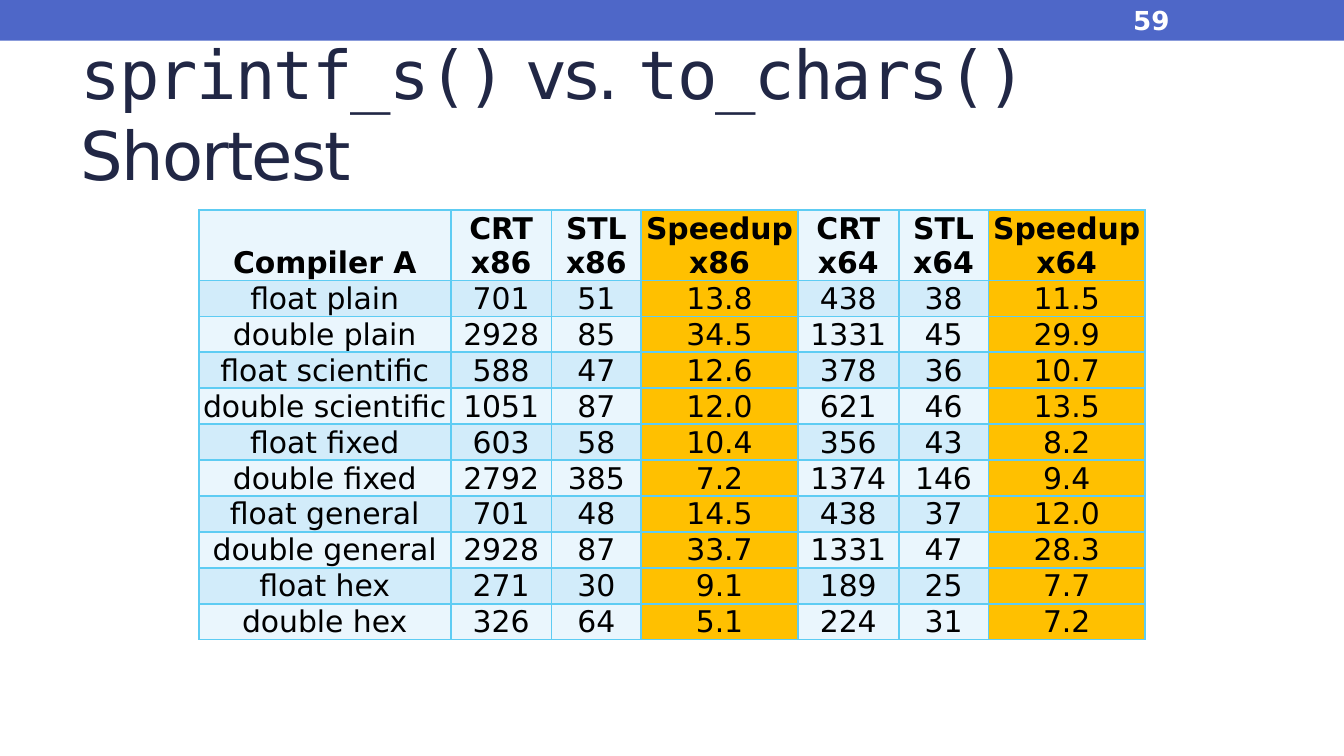
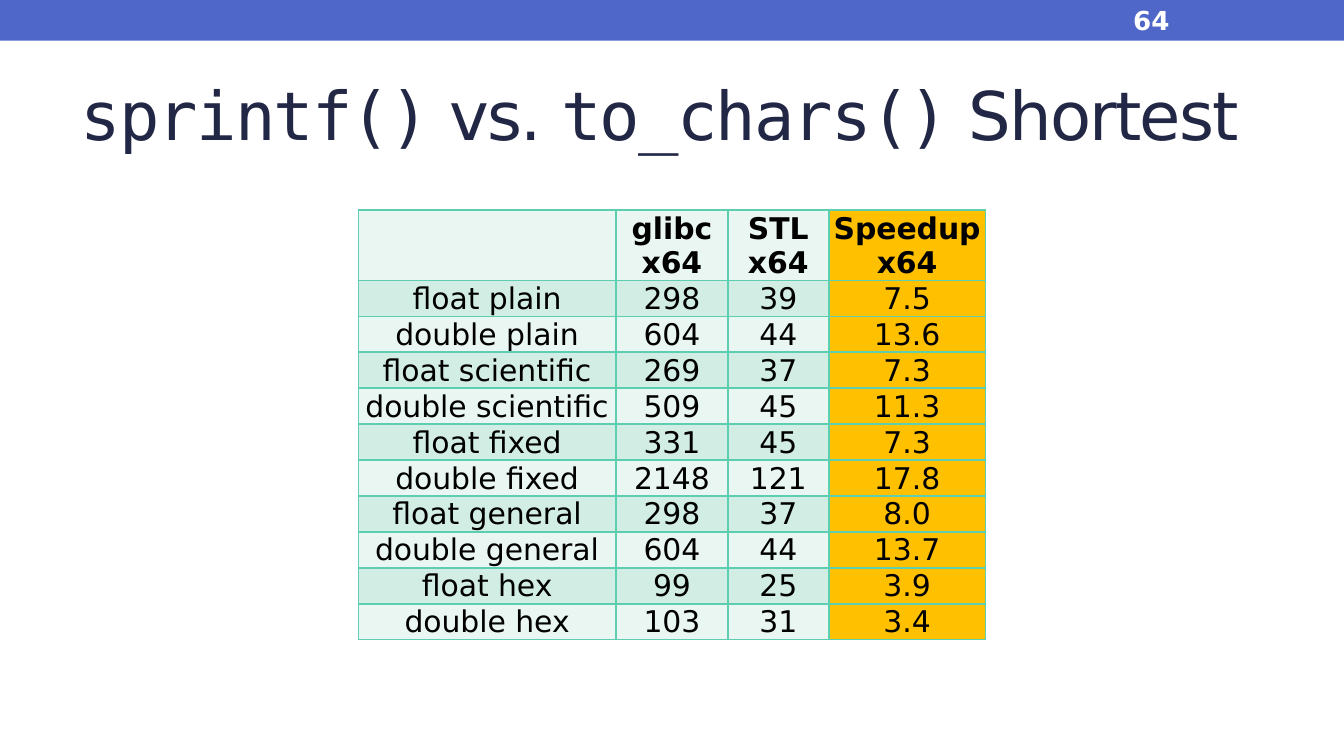
import pptx
import pptx.dml.color
import pptx.enum.shapes
import pptx.enum.text
import pptx.oxml
import pptx.oxml.ns
import pptx.util

# Content
FORMATS = [f"{kind} {style}"
           for style in ("plain", "scientific", "fixed", "general", "hex")
           for kind in ("float", "double")]

SLIDES = [
    {
        "number": "59",
        "old_function": "sprintf_s()",
        "palette": "blue",
        "header": ["Compiler A", "CRT x86", "STL x86", "Speedup x86",
                   "CRT x64", "STL x64", "Speedup x64"],
        "widths": [180, 72, 64, 112, 72, 64, 112],
        "timings": [
            ("701", "51", "13.8", "438", "38", "11.5"),
            ("2928", "85", "34.5", "1331", "45", "29.9"),
            ("588", "47", "12.6", "378", "36", "10.7"),
            ("1051", "87", "12.0", "621", "46", "13.5"),
            ("603", "58", "10.4", "356", "43", "8.2"),
            ("2792", "385", "7.2", "1374", "146", "9.4"),
            ("701", "48", "14.5", "438", "37", "12.0"),
            ("2928", "87", "33.7", "1331", "47", "28.3"),
            ("271", "30", "9.1", "189", "25", "7.7"),
            ("326", "64", "5.1", "224", "31", "7.2"),
        ],
    },
    {
        "number": "64",
        "old_function": "sprintf()",
        "palette": "green",
        "header": ["", "glibc x64", "STL x64", "Speedup x64"],
        "widths": [184, 80, 72, 112],
        "timings": [
            ("298", "39", "7.5"),
            ("604", "44", "13.6"),
            ("269", "37", "7.3"),
            ("509", "45", "11.3"),
            ("331", "45", "7.3"),
            ("2148", "121", "17.8"),
            ("298", "37", "8.0"),
            ("604", "44", "13.7"),
            ("99", "25", "3.9"),
            ("103", "31", "3.4"),
        ],
    },
]

# Theme: colours, fonts and type sizes
THEME = {
    "sans": "DejaVu Sans", "mono": "DejaVu Sans Mono",
    "title_size": 36, "cell_size": 16, "number_size": 14,
    "band": "4E67C8", "title": "212745", "cell": "000000",
    "number": "FFFFFF", "speedup": "FFC000",
    "blue": {"border": "5ECCF3", "rows": ("EAF6FD", "D2ECFA")},
    "green": {"border": "5DCEAF", "rows": ("EAF6F2", "D2EDE3")},
}

# Layout in px, 96 to the inch
WIDTH, HEIGHT = 960, 540
BAND = (0, 0, WIDTH, 29)
TITLE = (48, 42, 864, 78)
NUMBER = (800, 1, 112, 26)
TABLE_TOP, TABLE_HEIGHT, ROW_HEIGHT = 150, 318, 20

MIDDLE = pptx.enum.text.MSO_ANCHOR.MIDDLE
BOTTOM = pptx.enum.text.MSO_ANCHOR.BOTTOM
LEFT = pptx.enum.text.PP_ALIGN.LEFT
CENTER = pptx.enum.text.PP_ALIGN.CENTER


def px(n):
    return pptx.util.Emu(n * 9525)


def box(rect):
    return [px(n) for n in rect]


def rgb(value):
    return pptx.dml.color.RGBColor.from_string(value)


def style_run(r, size, color, font="sans", bold=False):
    r.font.name = THEME[font]
    r.font.size = pptx.util.Pt(THEME[size])
    r.font.color.rgb = rgb(THEME[color])
    r.font.bold = bold


def add_band(prs, s):
    """Draw the top band and move it to the master, behind everything."""
    band = s.shapes.add_shape(pptx.enum.shapes.MSO_SHAPE.RECTANGLE, *box(BAND))
    band.shadow.inherit = False
    band.fill.solid()
    band.fill.fore_color.rgb = rgb(THEME["band"])
    band.line.fill.background()
    prs.slide_master.element.cSld.spTree.insert(2, band.element)


def add_title(s, old_function):
    sp = s.shapes.title
    sp.left, sp.top, sp.width, sp.height = box(TITLE)
    tf = sp.text_frame
    tf.auto_size = pptx.enum.text.MSO_AUTO_SIZE.NONE
    tf.vertical_anchor = MIDDLE
    p = tf.paragraphs[0]
    p.alignment = LEFT
    for text, font in ((old_function, "mono"), (" vs. ", "sans"),
                       ("to_chars()", "mono"), (" Shortest", "sans")):
        r = p.add_run()
        r.text = text
        style_run(r, "title_size", "title", font)
        r.font._element.set("spc", "-100")


def add_number(s, number):
    tf = s.shapes.add_textbox(*box(NUMBER)).text_frame
    tf.word_wrap = True
    tf.vertical_anchor = MIDDLE
    tf.text = number
    style_run(tf.paragraphs[0].runs[0], "number_size", "number", bold=True)


def add_borders(cell, color):
    tc_pr = cell._tc.get_or_add_tcPr()
    for side in ("lnL", "lnR", "lnT", "lnB"):
        tc_pr.append(pptx.oxml.parse_xml(
            f'<a:{side} {pptx.oxml.ns.nsdecls("a")} w="12700">'
            f'<a:solidFill><a:srgbClr val="{color}"/></a:solidFill></a:{side}>'))


def fill_cell(cell, text, fill, border, bold):
    add_borders(cell, border)
    cell.fill.solid()
    cell.fill.fore_color.rgb = rgb(fill)
    cell.margin_left = cell.margin_right = cell.margin_top = px(1)
    cell.margin_bottom = 0
    cell.vertical_anchor = BOTTOM
    cell.text_frame.text = text
    p = cell.text_frame.paragraphs[0]
    p.alignment = CENTER
    for r in p.runs:
        style_run(r, "cell_size", "cell", bold=bold)


def add_timings(s, content):
    header, widths = content["header"], content["widths"]
    palette = THEME[content["palette"]]
    rows = [header] + [(name, *values)
                       for name, values in zip(FORMATS, content["timings"])]
    total = sum(widths)
    frame = s.shapes.add_table(
        len(rows), len(header),
        *box(((WIDTH - total) // 2, TABLE_TOP, total, TABLE_HEIGHT)))
    table = frame.table
    table.first_row = table.horz_banding = False
    for column, width in zip(table.columns, widths):
        column.width = px(width)
    for i, row in enumerate(rows):
        table.rows[i].height = px(ROW_HEIGHT)
        for j, text in enumerate(row):
            is_speedup = header[j].startswith("Speedup")
            fill = THEME["speedup"] if is_speedup else palette["rows"][i % 2]
            fill_cell(table.cell(i, j), text, fill, palette["border"], i == 0)
    frame.height = px(TABLE_HEIGHT)


def main():
    prs = pptx.Presentation()
    prs.slide_width, prs.slide_height = px(WIDTH), px(HEIGHT)
    for i, content in enumerate(SLIDES):
        s = prs.slides.add_slide(prs.slide_layouts[5])
        if i == 0:
            add_band(prs, s)
        add_title(s, content["old_function"])
        add_timings(s, content)
        add_number(s, content["number"])
    prs.save("out.pptx")


if __name__ == "__main__":
    main()
